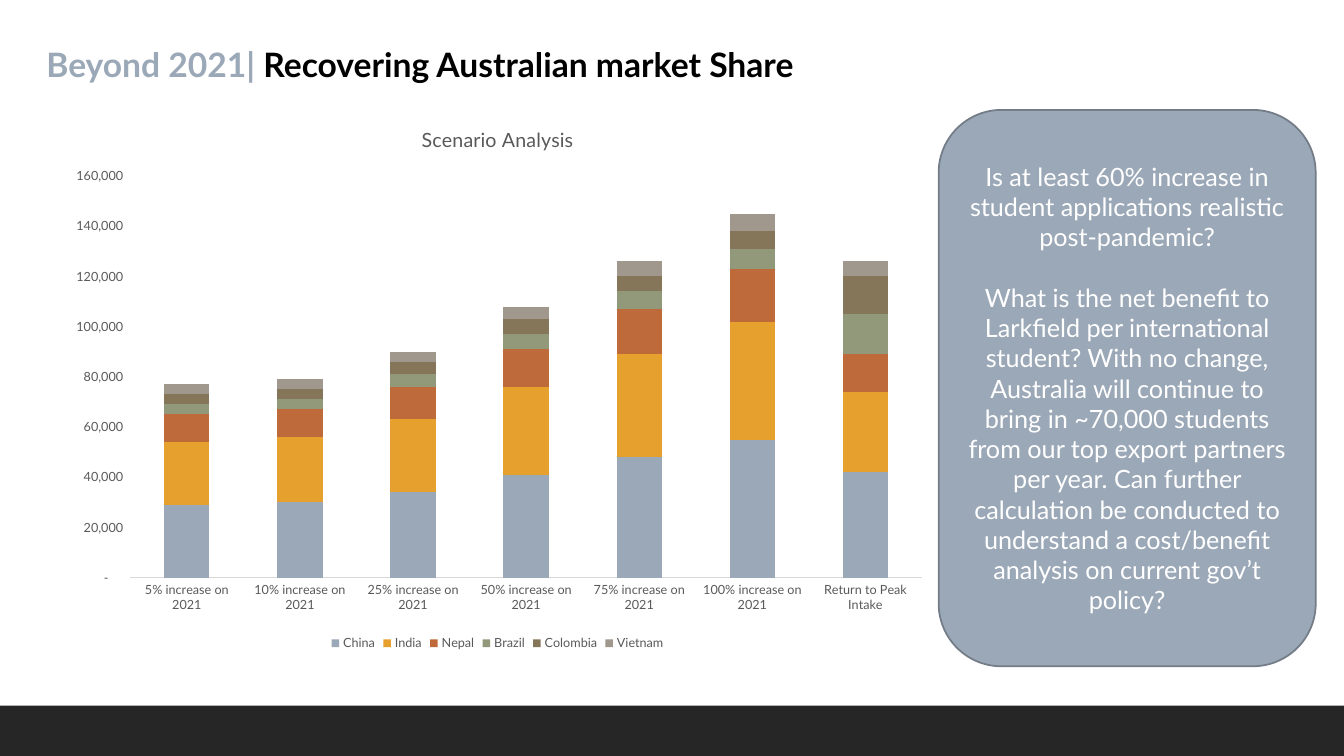
import pptx
import pptx.chart.data
import pptx.dml.color
import pptx.enum.chart
import pptx.enum.shapes
import pptx.enum.text
import pptx.util

Inches = pptx.util.Inches
Pt = pptx.util.Pt
RGBColor = pptx.dml.color.RGBColor

FONT = "Lato"
BLUE_GREY = RGBColor(0x9B, 0xA8, 0xB7)
OUTLINE = RGBColor(0x73, 0x7C, 0x87)
FOOTER = RGBColor(0x26, 0x26, 0x26)
AXIS_LINE = RGBColor(0xD9, 0xD9, 0xD9)
GREY = RGBColor(0x59, 0x59, 0x59)
BLACK = RGBColor(0, 0, 0)
WHITE = RGBColor(0xFF, 0xFF, 0xFF)

SCENARIOS = [f"{rise}% increase on 2021" for rise in (5, 10, 25, 50, 75, 100)]
SCENARIOS.append("Return to Peak Intake")
COUNTRIES = [
    ("China", BLUE_GREY, (29000, 30000, 34000, 41000, 48000, 55000, 42000)),
    ("India", RGBColor(0xE6, 0xA0, 0x2E), (25000, 26000, 29000, 35000, 41000, 47000, 32000)),
    ("Nepal", RGBColor(0xBF, 0x6A, 0x3B), (11000, 11000, 13000, 15000, 18000, 21000, 15000)),
    ("Brazil", RGBColor(0x92, 0x98, 0x7A), (4000, 4000, 5000, 6000, 7000, 8000, 16000)),
    ("Colombia", RGBColor(0x85, 0x76, 0x59), (4000, 4000, 5000, 6000, 6000, 7000, 15000)),
    ("Vietnam", RGBColor(0xA0, 0x98, 0x8C), (4000, 4000, 4000, 5000, 6000, 7000, 6000)),
]
QUESTIONS = [
    "Is at least 60% increase in student applications realistic post-pandemic?",
    "What is the net benefit to Larkfield per international student? With no change, "
    "Australia will continue to bring in ~70,000 students from our top export partners "
    "per year. Can further calculation be conducted to understand a cost/benefit "
    "analysis on current gov’t policy?",
]


def style_font(font, size, color, bold=False):
    font.name = FONT
    font.size = Pt(size)
    font.bold = bold
    font.color.rgb = color


deck = pptx.Presentation()
deck.slide_width = Inches(13.33)
deck.slide_height = Inches(7.5)
page = deck.slides.add_slide(deck.slide_layouts[5])

# Footer band
footer = page.shapes.add_shape(
    pptx.enum.shapes.MSO_SHAPE.RECTANGLE, Inches(0), Inches(7), Inches(13.33), Inches(0.5))
footer.shadow.inherit = False
footer.fill.solid()
footer.fill.fore_color.rgb = FOOTER
footer.line.fill.background()

# Title
title = page.shapes.title
title.left, title.top = Inches(0.26), Inches(0.32)
title.width, title.height = Inches(8.77), Inches(0.64)
title_frame = title.text_frame
title_frame.auto_size = pptx.enum.text.MSO_AUTO_SIZE.NONE
title_frame.vertical_anchor = pptx.enum.text.MSO_ANCHOR.MIDDLE
title_frame.margin_left = Inches(0.2)
para = title_frame.paragraphs[0]
para.alignment = pptx.enum.text.PP_ALIGN.LEFT
for text, color in (("Beyond 2021| ", BLUE_GREY),
                    ("Recovering Australian market Share", BLACK)):
    span = para.add_run()
    span.text = text
    style_font(span.font, 24, color, bold=True)

# Stacked column chart
chart_data = pptx.chart.data.CategoryChartData(number_format="#,##0")
chart_data.categories = SCENARIOS
for country, color, students in COUNTRIES:
    chart_data.add_series(country, students)
chart = page.shapes.add_chart(
    pptx.enum.chart.XL_CHART_TYPE.COLUMN_STACKED,
    Inches(0.55), Inches(1.04), Inches(8.77), Inches(5.46), chart_data).chart
style_font(chart.font, 10, BLACK)

chart.has_title = True
span = chart.chart_title.text_frame.paragraphs[0].add_run()
span.text = "Scenario Analysis"
style_font(span.font, 14, GREY)

chart.has_legend = True
chart.legend.position = pptx.enum.chart.XL_LEGEND_POSITION.BOTTOM
chart.legend.include_in_layout = False
style_font(chart.legend.font, 9, GREY)

plot = chart.plots[0]
plot.gap_width = 150
plot.overlap = 100
plot.vary_by_categories = False
for series, (country, color, students) in zip(plot.series, COUNTRIES):
    series.format.fill.solid()
    series.format.fill.fore_color.rgb = color

for axis in (chart.category_axis, chart.value_axis):
    axis.has_major_gridlines = False
    axis.major_tick_mark = pptx.enum.chart.XL_TICK_MARK.NONE
    axis.minor_tick_mark = pptx.enum.chart.XL_TICK_MARK.NONE
    style_font(axis.tick_labels.font, 9, GREY)
chart.category_axis.format.line.color.rgb = AXIS_LINE
chart.category_axis.format.line.width = Pt(0.75)
chart.value_axis.format.line.fill.background()
chart.value_axis.minimum_scale = 0
chart.value_axis.maximum_scale = 160000
chart.value_axis.major_unit = 20000
chart.value_axis.tick_labels.number_format = r'_-* #,##0_-;\-* #,##0_-;_-* "-"??_-;_-@_'
chart.value_axis.tick_labels.number_format_is_linked = False

# Question panel
panel = page.shapes.add_shape(
    pptx.enum.shapes.MSO_SHAPE.ROUNDED_RECTANGLE,
    Inches(9.31), Inches(1.09), Inches(3.74), Inches(5.52))
panel.shadow.inherit = False
panel.fill.solid()
panel.fill.fore_color.rgb = BLUE_GREY
panel.line.color.rgb = OUTLINE
panel.line.width = Pt(1.25)
panel_frame = panel.text_frame
panel_frame.word_wrap = True
panel_frame.vertical_anchor = pptx.enum.text.MSO_ANCHOR.MIDDLE
for index, question in enumerate(QUESTIONS):
    para = panel_frame.add_paragraph() if index else panel_frame.paragraphs[0]
    para.alignment = pptx.enum.text.PP_ALIGN.CENTER
    para.space_before = Pt(21.6 if index else 0)
    span = para.add_run()
    span.text = question
    style_font(span.font, 18, WHITE)

deck.save("out.pptx")
